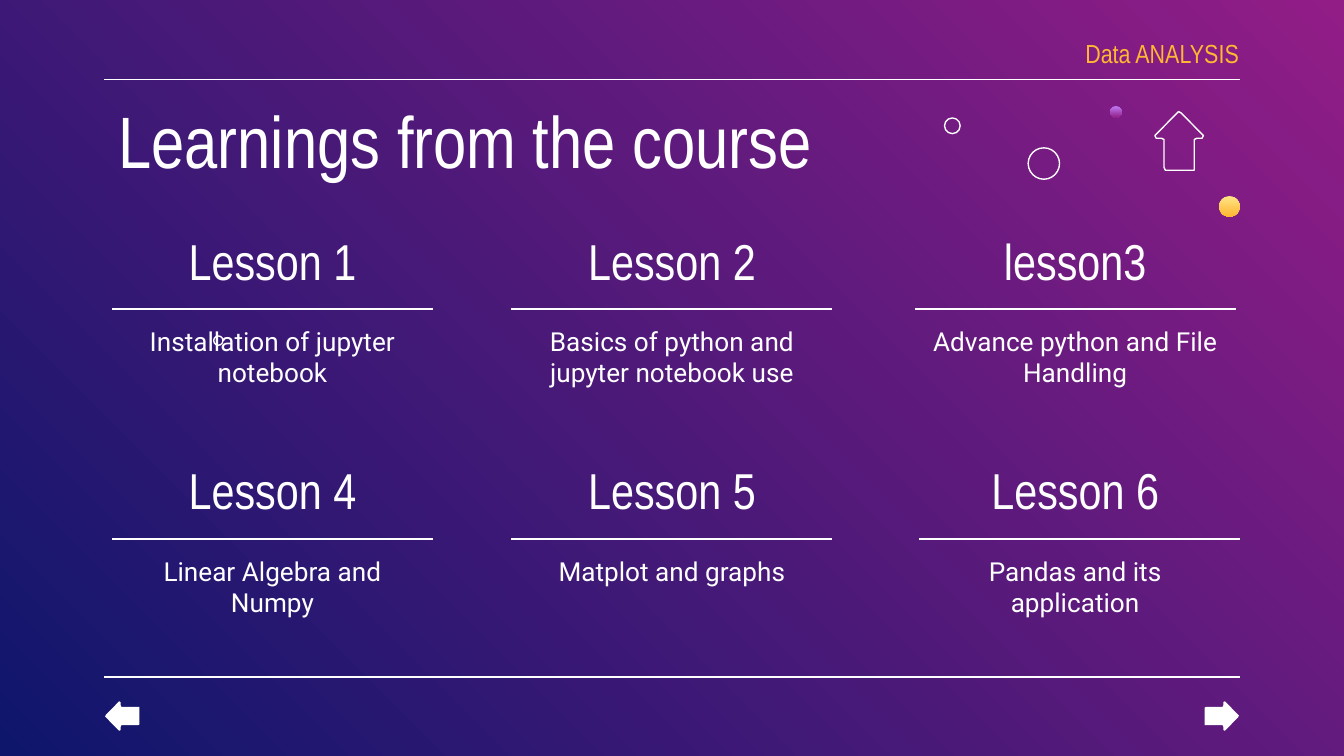
"""Build the course learnings slide: six lessons in a grid of three by two."""
from lxml import etree
from pptx import Presentation
from pptx import util as u
from pptx.dml.color import RGBColor
from pptx.enum import shapes, text
from pptx.oxml.ns import qn

HEADING = "Learnings from the course"
SUBJECT = "Data ANALYSIS"
LESSONS = [
    ("Lesson 1", "Installation of jupyter notebook", 0),
    ("Lesson 2", "Basics of python and jupyter notebook use", 0),
    ("lesson3", "Advance python and File Handling", 0),
    ("Lesson 4", "Linear Algebra and Numpy", 0),
    ("Lesson 5", "Matplot and graphs", 0),
    ("Lesson 6", "Pandas and its application", 2.5),
]
RINGS = [(550.8, 79.2, 16.8), (506, 63.2, 8.4), (114.5, 180, 5)]
DOTS = [(594.7, 56.9, 6.2, "BE7AF3", "921D87"), (653.2, 105.1, 11, "FFE485", "FFB632")]
HOUSE = (618.7, 59.8, 26, 31.4, 0)
ARROWS = [(646.6, 374.4, 15.8, 18.4, 90), (57.6, 374.4, 15.8, 18.4, 270)]
HOUSE_HALF = [
    (18.5, 0), (17, 1), (1, 17), (0, 18.5), (1, 19.7), (3, 20), (5, 20),
    (6.6, 20.6), (7, 22), (7, 42), (7.5, 43.5), (9, 44),
]
HOUSE_WIDTH = 37
CENTRES = (146, 360, 576)
FIRST_ROW, ROW_STEP = 115.9, 123.1
BOX_WIDTH, RULE_WIDTH = 175.7, 172
FRAME_LEFT, FRAME_RIGHT = 55.8, 664.3
WHITE, GOLD = "FFFFFF", "FFB632"
NARROW, BODY = "Arial Narrow", "Roboto"


def colour(code):
    return RGBColor.from_string(code)


def shade(fill, start, end, angle):
    fill.gradient()
    fill.gradient_angle = angle
    for stop, code in zip(fill.gradient_stops, (start, end)):
        stop.color.rgb = colour(code)


def write(holder, words, left, top, width, height, size=14, font=NARROW, code=WHITE,
          align=text.PP_ALIGN.CENTER, anchor=text.MSO_ANCHOR.TOP, right_inset=7.2):
    holder.left, holder.top = u.Pt(left), u.Pt(top)
    holder.width, holder.height = u.Pt(width), u.Pt(height)
    frame = holder.text_frame
    frame.auto_size = text.MSO_AUTO_SIZE.NONE
    frame.word_wrap = True
    frame.vertical_anchor = anchor
    frame.margin_left = frame.margin_top = frame.margin_bottom = u.Pt(7.2)
    frame.margin_right = u.Pt(right_inset)
    paragraph = frame.paragraphs[0]
    paragraph.alignment = align
    run = paragraph.add_run()
    run.text = words
    run.font.size, run.font.name = u.Pt(size), font
    run.font.color.rgb = colour(code)


def new_box(slide):
    return slide.shapes.add_textbox(0, 0, 0, 0)


def draw_rule(slide, left, right, y):
    rule = slide.shapes.add_connector(
        shapes.MSO_CONNECTOR.STRAIGHT, u.Pt(left), u.Pt(y), u.Pt(right), u.Pt(y))
    rule.line.color.rgb = colour(WHITE)
    rule.line.width = u.Pt(0.75)
    etree.SubElement(rule._element.spPr, qn("a:effectLst"))


def outline(shape):
    shape.shadow.inherit = False
    shape.fill.background()
    shape.line.color.rgb = colour(WHITE)
    shape.line.width = u.Pt(0.75)


def draw_circle(slide, left, top, size):
    return slide.shapes.add_shape(
        shapes.MSO_SHAPE.OVAL, u.Pt(left), u.Pt(top), u.Pt(size), u.Pt(size))


def draw_house(slide, left, top, width, height, rotation):
    mirrored = [(HOUSE_WIDTH - x, y) for x, y in reversed(HOUSE_HALF[1:])]
    points = HOUSE_HALF + mirrored
    builder = slide.shapes.build_freeform(*points[0], scale=u.Pt(1))
    builder.add_line_segments(points[1:], close=True)
    house = builder.convert_to_shape()
    house.left, house.top = u.Pt(left), u.Pt(top)
    house.width, house.height = u.Pt(width), u.Pt(height)
    house.rotation = rotation
    return house


def draw_lessons(slide):
    for index, (name, topic, shift) in enumerate(LESSONS):
        row, column = divmod(index, len(CENTRES))
        centre, top = CENTRES[column], FIRST_ROW + row * ROW_STEP
        left, rule_left = centre - BOX_WIDTH / 2, centre - RULE_WIDTH / 2 + shift
        write(new_box(slide), name, left, top, BOX_WIDTH, 34.6, size=27)
        write(new_box(slide), topic, left, top + 51.1, BOX_WIDTH, 47.5, font=BODY)
        draw_rule(slide, rule_left, rule_left + RULE_WIDTH, top + 49.7)


def draw_ornaments(slide):
    for ring in RINGS:
        outline(draw_circle(slide, *ring))
    outline(draw_house(slide, *HOUSE))
    for left, top, size, start, end in DOTS:
        dot = draw_circle(slide, left, top, size)
        dot.shadow.inherit = False
        dot.line.fill.background()
        shade(dot.fill, start, end, 270)
    for place in ARROWS:
        arrow = draw_house(slide, *place)
        arrow.shadow.inherit = False
        arrow.line.fill.background()
        arrow.fill.solid()
        arrow.fill.fore_color.rgb = colour(WHITE)


def main():
    deck = Presentation()
    deck.slide_width, deck.slide_height = u.Pt(720), u.Pt(405)
    slide = deck.slides.add_slide(deck.slide_layouts[5])
    shade(slide.background.fill, "921D87", "0E166C", 225)
    for y in (42.5, 362.7):
        draw_rule(slide, FRAME_LEFT, FRAME_RIGHT, y)
    write(slide.shapes.title, HEADING, 56.2, 43.9, 607.7, 47.5, size=39,
          align=text.PP_ALIGN.LEFT)
    write(new_box(slide), SUBJECT, 555.8, 16.6, 108, 23.8, code=GOLD,
          align=text.PP_ALIGN.RIGHT, anchor=text.MSO_ANCHOR.MIDDLE, right_inset=0)
    draw_lessons(slide)
    draw_ornaments(slide)
    deck.save("out.pptx")


if __name__ == "__main__":
    main()
